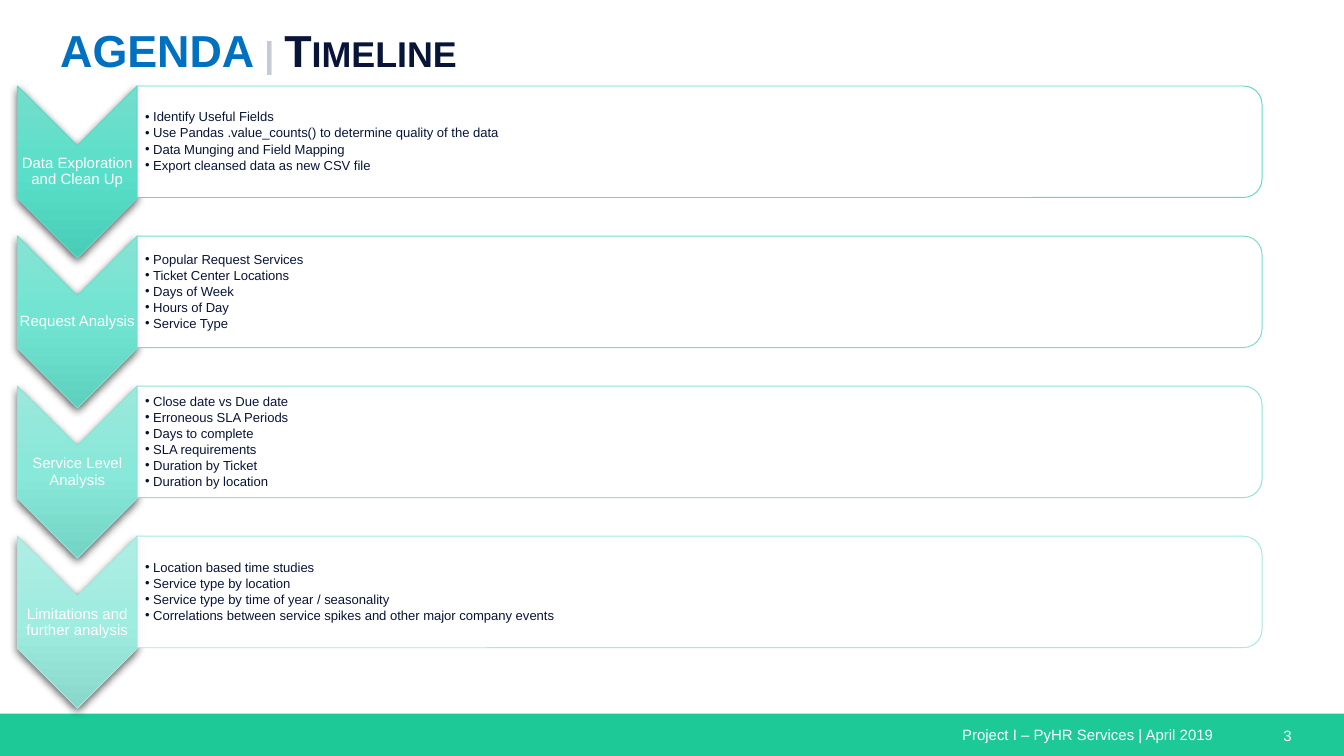
from dataclasses import dataclass

from lxml.etree import SubElement
from pptx import Presentation
from pptx.dml.color import RGBColor
from pptx.enum.shapes import MSO_SHAPE
from pptx.enum.text import MSO_ANCHOR, PP_ALIGN
from pptx.oxml import parse_xml
from pptx.oxml.ns import nsdecls, qn
from pptx.util import Inches, Pt


@dataclass(frozen=True)
class Theme:
    font: str = "Arial"
    white: str = "FFFFFF"
    navy: str = "081538"
    blue: str = "0070C0"
    divider: str = "C6CAD5"
    footer: str = "1CC997"
    shadow: str = "000000"
    title_size: float = 24
    label_size: float = 8
    bullet_size: float = 7


THEME = Theme()
FIRST_TOP = 0.64
PITCH = 3.35 / 3

# label, gradient colours, outline colour, bullet lines
STAGES = [
    ("Data Exploration and Clean Up", ("74DECC", "59DFC9", "48CDB7"), "5FD9C5", [
        "Identify Useful Fields",
        "Use Pandas .value_counts() to determine quality of the data",
        "Data Munging and Field Mapping",
        "Export cleansed data as new CSV file",
    ]),
    ("Request Analysis", ("87E3D4", "70E4D1", "5ED1BE"), "76DECD", [
        "Popular Request Services",
        "Ticket Center Locations",
        "Days of Week",
        "Hours of Day",
        "Service Type",
    ]),
    ("Service Level Analysis", ("9BE8DB", "88E8D9", "73D4C4"), "8CE4D6", [
        "Close date vs Due date",
        "Erroneous SLA Periods",
        "Days to complete",
        "SLA requirements",
        "Duration by Ticket",
        "Duration by location",
    ]),
    ("Limitations and further analysis", ("AFEDE3", "9FECE0", "89D7CB"), "A3E9DE", [
        "Location based time studies",
        "Service type by location",
        "Service type by time of year / seasonality",
        "Correlations between service spikes and other major company events",
    ]),
]


def add_text(slide, box, paragraphs, size, color=THEME.white, bold=False, small_caps=False,
             align=PP_ALIGN.LEFT, anchor=MSO_ANCHOR.TOP, insets=(0.1, 0.05, 0.1, 0.05),
             line_spacing=None, space_after=0, bullets=False):
    """Add a text box; each paragraph is a string or a list of (text, color) runs."""
    frame = slide.shapes.add_textbox(*map(Inches, box)).text_frame
    frame.word_wrap = True
    frame.vertical_anchor = anchor
    (frame.margin_left, frame.margin_top,
     frame.margin_right, frame.margin_bottom) = map(Inches, insets)
    for index, content in enumerate(paragraphs):
        paragraph = frame.add_paragraph() if index else frame.paragraphs[0]
        paragraph.alignment = align
        paragraph.line_spacing = line_spacing
        paragraph.space_after = Pt(space_after)
        if bullets:
            add_bullet(paragraph)
        for text, run_color in [(content, color)] if isinstance(content, str) else content:
            run = paragraph.add_run()
            run.text = text
            run.font.name = THEME.font
            run.font.size = Pt(size)
            run.font.bold = bold
            run.font.color.rgb = RGBColor.from_string(run_color)
            if small_caps:
                run.font._element.set("cap", "small")


def add_bullet(paragraph):
    properties = paragraph._p.get_or_add_pPr()
    properties.set("marL", str(Inches(0.06)))
    properties.set("indent", str(-Inches(0.06)))
    SubElement(properties, qn("a:buFont")).set("typeface", THEME.font)
    SubElement(properties, qn("a:buChar")).set("char", "•")


def add_block(slide, preset, box, fill, outline=None, rotated=False):
    """Add a filled shape; box is what shows, even after a quarter turn."""
    left, top, width, height = box
    if rotated:
        left, top = left + (width - height) / 2, top + (height - width) / 2
        width, height = height, width
    block = slide.shapes.add_shape(preset, *map(Inches, (left, top, width, height)))
    block.rotation = 90 if rotated else 0
    block.shadow.inherit = False
    block.fill.solid()
    block.fill.fore_color.rgb = RGBColor.from_string(fill)
    if outline:
        block.line.color.rgb = RGBColor.from_string(outline)
        block.line.width = Pt(0.5)
    else:
        block.line.fill.background()
    return block


def add_chevron(slide, box, gradient, outline):
    chevron = add_block(slide, MSO_SHAPE.CHEVRON, box, gradient[1], outline, rotated=True)
    properties = chevron._element.spPr
    stops = "".join(f'<a:gs pos="{pos}"><a:srgbClr val="{color}"/></a:gs>'
                    for pos, color in zip((0, 50000, 100000), gradient))
    properties.replace(properties.find(qn("a:solidFill")), parse_xml(
        f'<a:gradFill {nsdecls("a")} rotWithShape="0"><a:gsLst>{stops}</a:gsLst>'
        '<a:lin ang="5400000" scaled="0"/></a:gradFill>'))
    properties.replace(properties.find(qn("a:effectLst")), parse_xml(
        f'<a:effectLst {nsdecls("a")}><a:outerShdw blurRad="{Pt(4.5)}" dist="{Pt(1.5)}" '
        f'dir="5400000" algn="ctr" rotWithShape="0"><a:srgbClr val="{THEME.shadow}">'
        '<a:alpha val="63000"/></a:srgbClr></a:outerShdw></a:effectLst>'))


def add_panel(slide, box, outline):
    panel = add_block(slide, MSO_SHAPE.ROUND_2_SAME_RECTANGLE, box, THEME.white, outline,
                      rotated=True)
    fill_color = panel._element.spPr.find(qn("a:solidFill"))[0]
    SubElement(fill_color, qn("a:alpha")).set("val", "90000")


def add_stage(slide, top, label, gradient, outline, lines):
    add_chevron(slide, (0.13, top, 0.89, 1.28), gradient, outline)
    add_text(slide, (0.13, top + 0.45, 0.89, 0.38), [label], THEME.label_size,
             align=PP_ALIGN.CENTER, anchor=MSO_ANCHOR.MIDDLE, insets=(0.01,) * 4,
             line_spacing=0.9)
    add_panel(slide, (1.02, top, 8.37, 0.83), outline)
    add_text(slide, (1.03, top + 0.04, 8.32, 0.75), lines, THEME.bullet_size,
             color=THEME.navy, anchor=MSO_ANCHOR.MIDDLE, insets=(0.05, 0, 0, 0),
             line_spacing=0.9, space_after=1.05, bullets=True)


def add_footer(slide):
    add_block(slide, MSO_SHAPE.RECTANGLE, (0, 5.31, 10, 0.32), THEME.footer)
    add_text(slide, (7.06, 5.35, 2.32, 0.24), ["Project I – PyHR Services | April 2019"],
             THEME.label_size)
    add_text(slide, (9.45, 5.36, 0.55, 0.24), ["3"], THEME.label_size)


def main():
    presentation = Presentation()
    presentation.slide_width = Inches(10)
    presentation.slide_height = Inches(10 * 9 / 16)
    slide = presentation.slides.add_slide(presentation.slide_layouts[6])

    add_footer(slide)
    title = [("AGENDA ", THEME.blue), ("| ", THEME.divider), ("Timeline", THEME.navy)]
    add_text(slide, (0.35, 0.12, 5.8, 0.53), [title], THEME.title_size, bold=True,
             small_caps=True)
    for index, stage in enumerate(STAGES):
        add_stage(slide, FIRST_TOP + index * PITCH, *stage)

    presentation.save("out.pptx")


if __name__ == "__main__":
    main()
